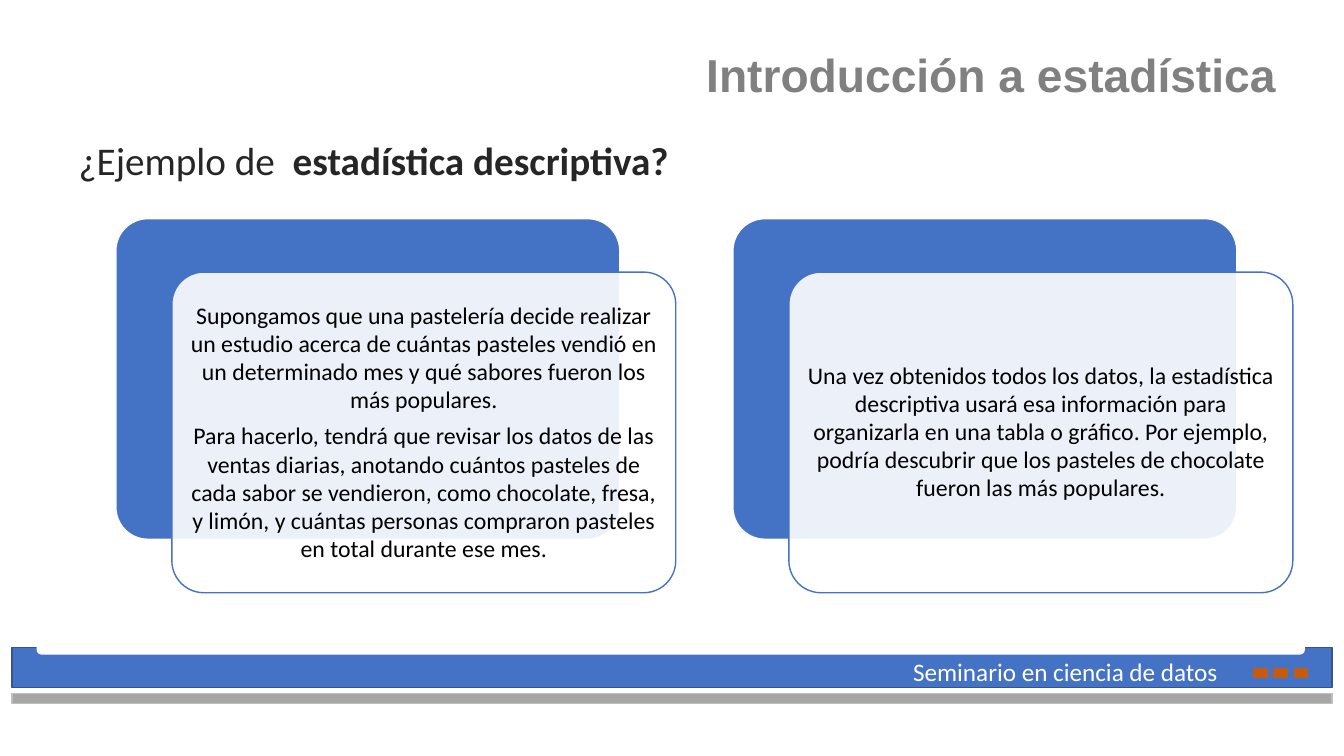
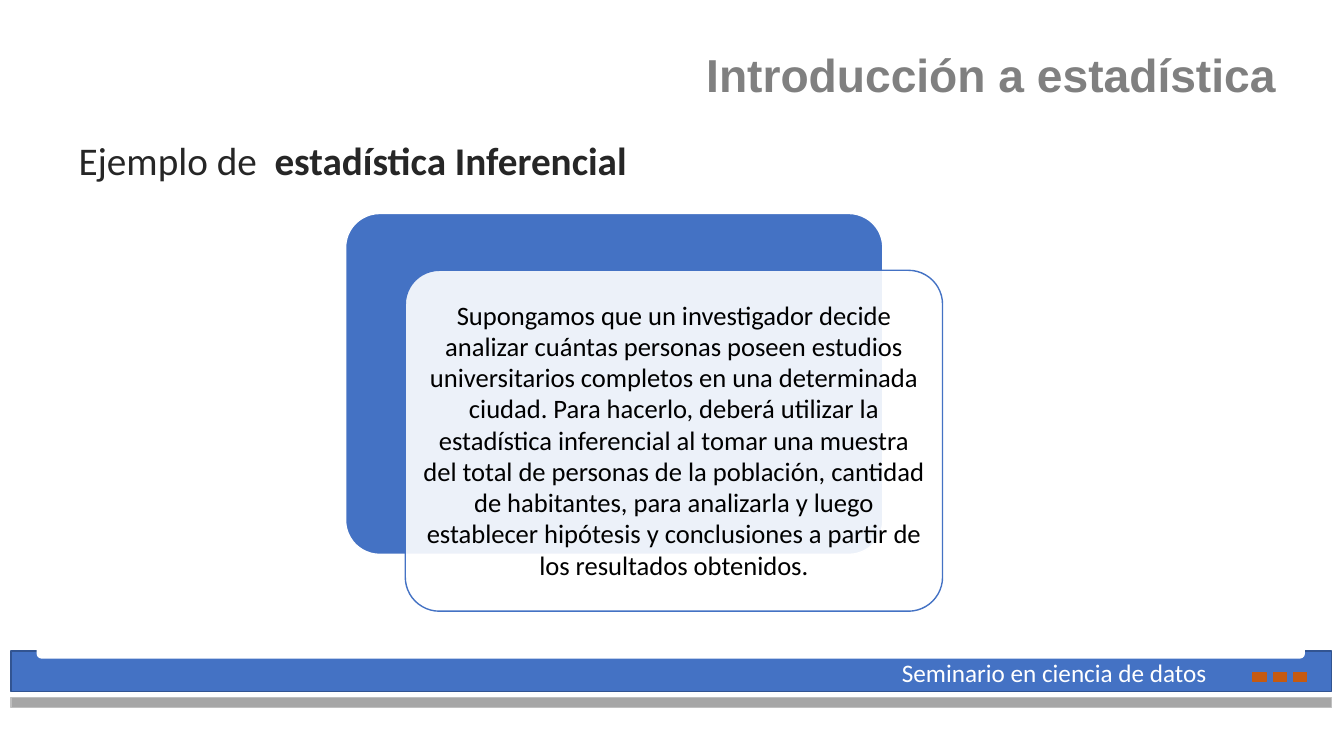
"""Build two slides with examples of descriptive and inferential statistics."""
from dataclasses import dataclass

from lxml.etree import SubElement
from pptx import Presentation
from pptx.dml.color import RGBColor
from pptx.enum.shapes import MSO_SHAPE
from pptx.enum.text import MSO_ANCHOR, PP_ALIGN
from pptx.oxml.ns import qn
from pptx.util import Cm, Pt


@dataclass(frozen=True)
class Theme:
    blue: str = "4472C4"
    navy: str = "325491"
    white: str = "FFFFFF"
    gray: str = "A6A6A6"
    silver: str = "BFBFBF"
    orange: str = "C55A11"
    title: str = "808080"
    heading: str = "262626"
    body: str = "000000"
    title_font: str = "Arial"
    body_font: str = "Calibri"
    title_size: int = 33
    heading_size: int = 28
    footer_size: int = 18


T = Theme()

SLIDES = [
    dict(
        heading=("¿Ejemplo de  ", "estadística descriptiva?"),
        footer=(0.3, 16.31), footer_text=(22.76, 16.41),
        cards=[
            (2.92, [
                "Supongamos que una pastelería decide realizar un estudio acerca de "
                "cuántas pasteles vendió en un determinado mes y qué sabores fueron "
                "los más populares.",
                "Para hacerlo, tendrá que revisar los datos de las ventas diarias, "
                "anotando cuántos pasteles de cada sabor se vendieron, como chocolate, "
                "fresa, y limón, y cuántas personas compraron pasteles en total "
                "durante ese mes.",
            ]),
            (18.47, [
                "Una vez obtenidos todos los datos, la estadística descriptiva usará "
                "esa información para organizarla en una tabla o gráfico. Por ejemplo, "
                "podría descubrir que los pasteles de chocolate fueron las más "
                "populares.",
            ]),
        ],
        card_top=5.51, card_size=(12.7, 8.08), text_size=17,
    ),
    dict(
        heading=("Ejemplo de  ", "estadística Inferencial"),
        footer=(0.28, 16.41), footer_text=(22.48, 16.43),
        cards=[
            (8.71, [
                "Supongamos que un investigador decide analizar cuántas personas "
                "poseen estudios universitarios completos en una determinada ciudad. "
                "Para hacerlo, deberá utilizar la estadística inferencial al tomar una "
                "muestra del total de personas de la población, cantidad de "
                "habitantes, para analizarla y luego establecer hipótesis y "
                "conclusiones a partir de los resultados obtenidos.",
            ]),
        ],
        card_top=5.38, card_size=(13.54, 8.59), text_size=19,
    ),
]


def add_box(s, kind, x, y, w, h, fill, line):
    sp = s.shapes.add_shape(kind, Cm(x), Cm(y), Cm(w), Cm(h))
    sp.shadow.inherit = False
    sp.fill.solid()
    sp.fill.fore_color.rgb = RGBColor.from_string(fill)
    sp.line.color.rgb = RGBColor.from_string(line)
    sp.line.width = Pt(1)
    return sp


def style(p, font, size, color, bold=None):
    p.font.name = font
    p.font.size = Pt(size)
    p.font.color.rgb = RGBColor.from_string(color)
    p.font.bold = bold


prs = Presentation()
prs.slide_width, prs.slide_height = Cm(33.87), Cm(19.05)

for data in SLIDES:
    s = prs.slides.add_slide(prs.slide_layouts[6])

    x, y = data["footer"]
    add_box(s, MSO_SHAPE.RECTANGLE, x, y, 33.27, 1.02, T.blue, T.navy)
    add_box(s, MSO_SHAPE.ROUNDED_RECTANGLE, 0.94, y - 0.49, 31.93, 0.66, T.white, T.white)
    add_box(s, MSO_SHAPE.RECTANGLE, x, y + 1.17, 33.27, 0.25, T.gray, T.silver)
    for i in range(3):
        add_box(s, MSO_SHAPE.RECTANGLE, x + 31.3 + i * 0.51, y + 0.53, 0.33, 0.23,
                T.orange, T.orange)
    x, y = data["footer_text"]
    tf = s.shapes.add_textbox(Cm(x), Cm(y), Cm(8.76), Cm(1.02)).text_frame
    tf.word_wrap = True
    p = tf.paragraphs[0]
    p.text = "Seminario en ciencia de datos"
    style(p, T.body_font, T.footer_size, T.white)

    tf = s.shapes.add_textbox(Cm(17.42), Cm(1.14), Cm(14.99), Cm(1.52)).text_frame
    tf.word_wrap = True
    tf.vertical_anchor = MSO_ANCHOR.BOTTOM
    p = tf.paragraphs[0]
    p.text = "Introducción a estadística"
    p.alignment = PP_ALIGN.RIGHT
    p.line_spacing = 0.7
    style(p, T.title_font, T.title_size, T.title, True)

    tf = s.shapes.add_textbox(Cm(1.5), Cm(3.56), Cm(22.15), Cm(1.3)).text_frame
    tf.word_wrap = True
    tf.margin_left, tf.margin_top = Cm(0.48), 0
    p = tf.paragraphs[0]
    p.line_spacing = 0.9
    style(p, T.body_font, T.heading_size, T.heading)
    for text, bold in zip(data["heading"], (False, True)):
        r = p.add_run()
        r.text = text
        r.font.bold = bold

    y = data["card_top"]
    w, h = data["card_size"]
    for x, paragraphs in data["cards"]:
        back = add_box(s, MSO_SHAPE.ROUNDED_RECTANGLE, x, y, w, h, T.blue, T.white)
        front = add_box(s, MSO_SHAPE.ROUNDED_RECTANGLE, x + w / 9, y + h / 6, w, h,
                        T.white, T.blue)
        back.adjustments[0] = front.adjustments[0] = 0.1
        color = front.fill._xPr.find(qn("a:solidFill"))[0]
        SubElement(color, qn("a:alpha"), val="90000")
        tf = front.text_frame
        tf.word_wrap = True
        tf.vertical_anchor = MSO_ANCHOR.MIDDLE
        tf.margin_left = tf.margin_right = tf.margin_top = tf.margin_bottom = Cm(0.18)
        for i, text in enumerate(paragraphs):
            p = tf.add_paragraph() if i else tf.paragraphs[0]
            p.text = text
            p.alignment = PP_ALIGN.CENTER
            p.line_spacing = 0.98
            p.space_after = Pt(6)
            style(p, T.body_font, data["text_size"], T.body)

prs.save("out.pptx")
